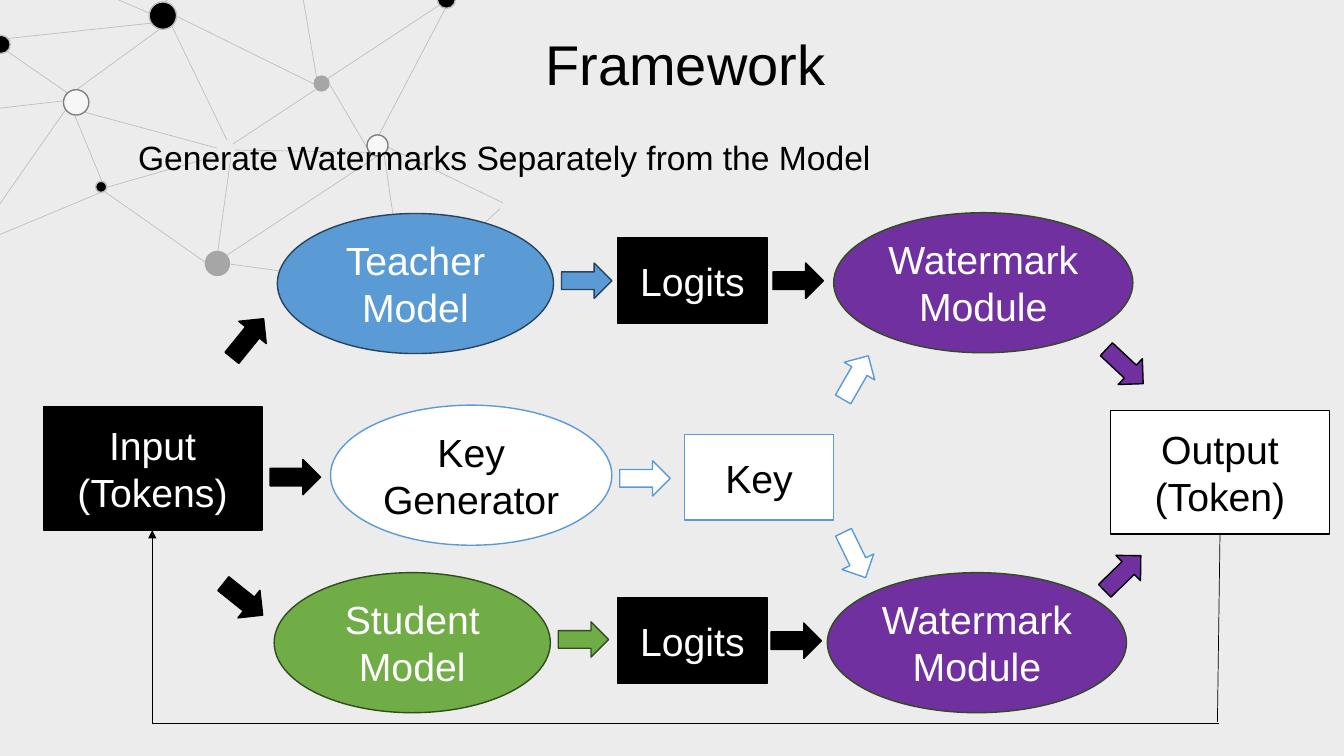
from typing import NamedTuple

from lxml.etree import SubElement
from pptx import Presentation
from pptx.dml.color import RGBColor
from pptx.enum.shapes import MSO_CONNECTOR as Link, MSO_SHAPE as Geometry
from pptx.enum.text import MSO_ANCHOR as Anchor, MSO_AUTO_SIZE as AutoSize, PP_ALIGN as Align
from pptx.oxml.ns import qn
from pptx.shapes.autoshape import Shape
from pptx.shapes.connector import Connector
from pptx.text.text import TextFrame
from pptx.util import Cm, Pt

BLACK, WHITE, BLUE, NAVY = "000000", "FFFFFF", "5B9BD5", "28445D"
GREEN, MOSS, PURPLE = "70AD47", "314C1F", "7030A0"
SILVER, GREY, STEEL, PALE = "BFBFBF", "808080", "A6A6A6", "F7F7F7"


class Paint(NamedTuple):
    fill: str
    line: str | None
    text: str = WHITE


class Node(NamedTuple):
    left: float
    top: float
    size: float
    paint: Paint


class Edge(NamedTuple):
    x1: float
    y1: float
    x2: float
    y2: float


class Form(NamedTuple):
    geometry: Geometry
    width: float
    height: float


class Stage(NamedTuple):
    label: str
    left: float
    top: float
    form: Form
    paint: Paint


class Flow(NamedTuple):
    left: float
    top: float
    paint: Paint
    angle: float = 0


SOLID = Paint(BLACK, BLACK)
OUTPUT = Paint(WHITE, BLACK, BLACK)
KEY = Paint(WHITE, BLUE, BLACK)
TEACHER = Paint(BLUE, NAVY)
STUDENT = Paint(GREEN, MOSS)
WATERMARK = Paint(PURPLE, MOSS)
RESULT = Paint(PURPLE, BLACK)
DARK_NODE, PALE_NODE, GREY_NODE = Paint(BLACK, SILVER), Paint(PALE, GREY), Paint(STEEL, None)

TOKENS = Form(Geometry.RECTANGLE, 5.51, 3.12)
VALUES = Form(Geometry.RECTANGLE, 3.76, 2.16)
MODEL = Form(Geometry.OVAL, 6.96, 3.53)
GENERATOR = Form(Geometry.OVAL, 7.09, 3.53)
MODULE = Form(Geometry.OVAL, 7.54, 3.53)
ARROW = Form(Geometry.RIGHT_ARROW, 1.27, 0.89)

NETWORK_EDGES = [
    Edge(3.84, 0.58, 0.2, 0.97), Edge(3.76, 0.33, -1.55, -1.96),
    Edge(4.06, 0.71, 1.93, 2.26), Edge(7.98, 1.96, 7.37, -1.6),
    Edge(11.23, 0.2, 9.55, 3.4), Edge(9.32, 3.84, 8.31, 2.13),
    Edge(11.07, 0.13, 8.26, 1.98), Edge(4.32, 0.64, 5.72, 3.53),
    Edge(4.45, 0.41, 7.9, 2.11), Edge(7.95, 2.26, 5.87, 3.63),
    Edge(9.32, 3.84, 5.92, 3.78), Edge(5.49, 6.32, 5.82, 3.94),
    Edge(0.15, 1.27, 1.7, 2.34), Edge(-2.11, 2.97, 1.6, 2.54),
    Edge(2.57, 4.57, 1.88, 2.9), Edge(2.69, 4.72, 5.51, 3.91),
    Edge(2.11, 2.82, 5.46, 3.73), Edge(7.16, -1.85, 4.14, 0.05),
    Edge(-0.3, 5.56, 1.65, 2.77), Edge(-0.03, 5.92, 2.54, 4.85),
    Edge(2.64, 4.83, 5.16, 6.6), Edge(10.06, 7.24, 5.77, 6.65),
    Edge(9.5, 3.94, 5.72, 6.43), Edge(12.6, 5.26, 10.62, 7.09),
    Edge(12.67, 5.11, 9.78, 3.71), Edge(10.11, 6.81, 9.68, 3.89),
]
NETWORK_NODES = [
    Node(3.76, 0.05, 0.69, DARK_NODE), Node(1.6, 2.26, 0.64, PALE_NODE),
    Node(-0.2, 0.89, 0.46, DARK_NODE), Node(7.9, 1.9, 0.41, GREY_NODE),
    Node(9.25, 3.4, 0.53, PALE_NODE), Node(11.02, -0.25, 0.46, DARK_NODE),
    Node(5.16, 6.32, 0.64, GREY_NODE), Node(2.41, 4.57, 0.28, DARK_NODE),
]
STAGES = [
    Stage("Input\n(Tokens)", 1.09, 10.24, TOKENS, SOLID),
    Stage("Teacher Model", 6.99, 5.38, MODEL, TEACHER),
    Stage("Logits", 15.57, 5.99, VALUES, SOLID),
    Stage("Watermark Module", 21.01, 5.36, MODULE, WATERMARK),
    Stage("Key Generator", 8.33, 10.21, GENERATOR, KEY),
    Stage("Key", 17.25, 10.95, VALUES, KEY),
    Stage("Student Model", 6.91, 14.43, MODEL, STUDENT),
    Stage("Logits", 15.57, 15.06, VALUES, SOLID),
    Stage("Watermark Module", 20.85, 14.43, MODULE, WATERMARK),
]
OUTPUT_STAGE = Stage("Output\n(Token)", 27.99, 10.34, TOKENS, OUTPUT)
FLOWS = [
    Flow(5.61, 8.08, SOLID, 309), Flow(6.81, 11.58, SOLID), Flow(5.49, 14.66, SOLID, 38.6),
    Flow(14.15, 6.63, TEACHER), Flow(15.62, 11.61, KEY), Flow(14.07, 15.67, STUDENT),
    Flow(19.48, 6.63, SOLID), Flow(19.43, 15.7, SOLID),
    Flow(20.93, 9.07, KEY, 300), Flow(20.9, 13.54, KEY, 64),
    Flow(27.71, 8.79, RESULT, 43.1), Flow(27.66, 14, RESULT, 315.8),
]

deck = Presentation()
deck.slide_width, deck.slide_height = Cm(33.87), Cm(19.05)
slide = deck.slides.add_slide(deck.slide_layouts[6])


def color(value: str) -> RGBColor:
    return RGBColor.from_string(value)


def write(frame: TextFrame, text: str, size: float, ink: str, align: Align) -> None:
    frame.word_wrap = True
    frame.text = text
    for paragraph in frame.paragraphs:
        paragraph.alignment = align
        paragraph.font.name = "Arial"
        paragraph.font.size = Pt(size)
        paragraph.font.color.rgb = color(ink)


def draw_shape(form: Form, left: float, top: float, paint: Paint) -> Shape:
    shape = slide.shapes.add_shape(
        form.geometry, Cm(left), Cm(top), Cm(form.width), Cm(form.height))
    shape.shadow.inherit = False
    shape.fill.solid()
    shape.fill.fore_color.rgb = color(paint.fill)
    if paint.line is None:
        shape.line.fill.background()
    else:
        shape.line.color.rgb = color(paint.line)
        shape.line.width = Pt(1)
    return shape


def draw_stage(stage: Stage) -> Shape:
    shape = draw_shape(stage.form, stage.left, stage.top, stage.paint)
    shape.text_frame.vertical_anchor = Anchor.MIDDLE
    write(shape.text_frame, stage.label, 28, stage.paint.text, Align.CENTER)
    return shape


def draw_edge(edge: Edge, ink: str, kind: Link = Link.STRAIGHT) -> Connector:
    connector = slide.shapes.add_connector(kind, *(Cm(value) for value in edge))
    connector.line.color.rgb = color(ink)
    connector.line.width = Pt(0.5)
    SubElement(connector.element.spPr, qn("a:effectLst"))
    return connector


def draw_heading(left: float, top: float, width: float, height: float,
                 text: str, size: float, align: Align) -> TextFrame:
    frame = slide.shapes.add_textbox(Cm(left), Cm(top), Cm(width), Cm(height)).text_frame
    write(frame, text, size, BLACK, align)
    frame.auto_size = AutoSize.SHAPE_TO_FIT_TEXT
    return frame


slide.background.fill.solid()
slide.background.fill.fore_color.rgb = color("ECECEC")

for network_edge in NETWORK_EDGES:
    draw_edge(network_edge, SILVER)
for node in NETWORK_NODES:
    draw_shape(Form(Geometry.OVAL, node.size, node.size), node.left, node.top, node.paint)

draw_heading(0.86, 0.61, 32.82, 1.96, "Framework", 40, Align.CENTER)
subtitle = draw_heading(3.23, 2.82, 27.79, 1.6,
                        "Generate Watermarks Separately from the Model", 24, Align.LEFT)
subtitle.paragraphs[0].line_spacing = 1.5

for pipeline_stage in STAGES:
    draw_stage(pipeline_stage)
output = draw_stage(OUTPUT_STAGE)
for flow in FLOWS:
    draw_shape(ARROW, flow.left, flow.top, flow.paint).rotation = flow.angle

output_drop = draw_edge(Edge(30.75, 13.46, 30.68, 18.19), BLACK)
output_drop.begin_connect(output, 2)
feedback = draw_edge(Edge(30.71, 18.24, 3.84, 13.36), BLACK, Link.ELBOW)
feedback.element.spPr.find(qn("a:prstGeom")).set("prst", "bentConnector2")
SubElement(feedback.element.spPr.find(qn("a:ln")), qn("a:tailEnd"), type="triangle")

deck.save("out.pptx")
